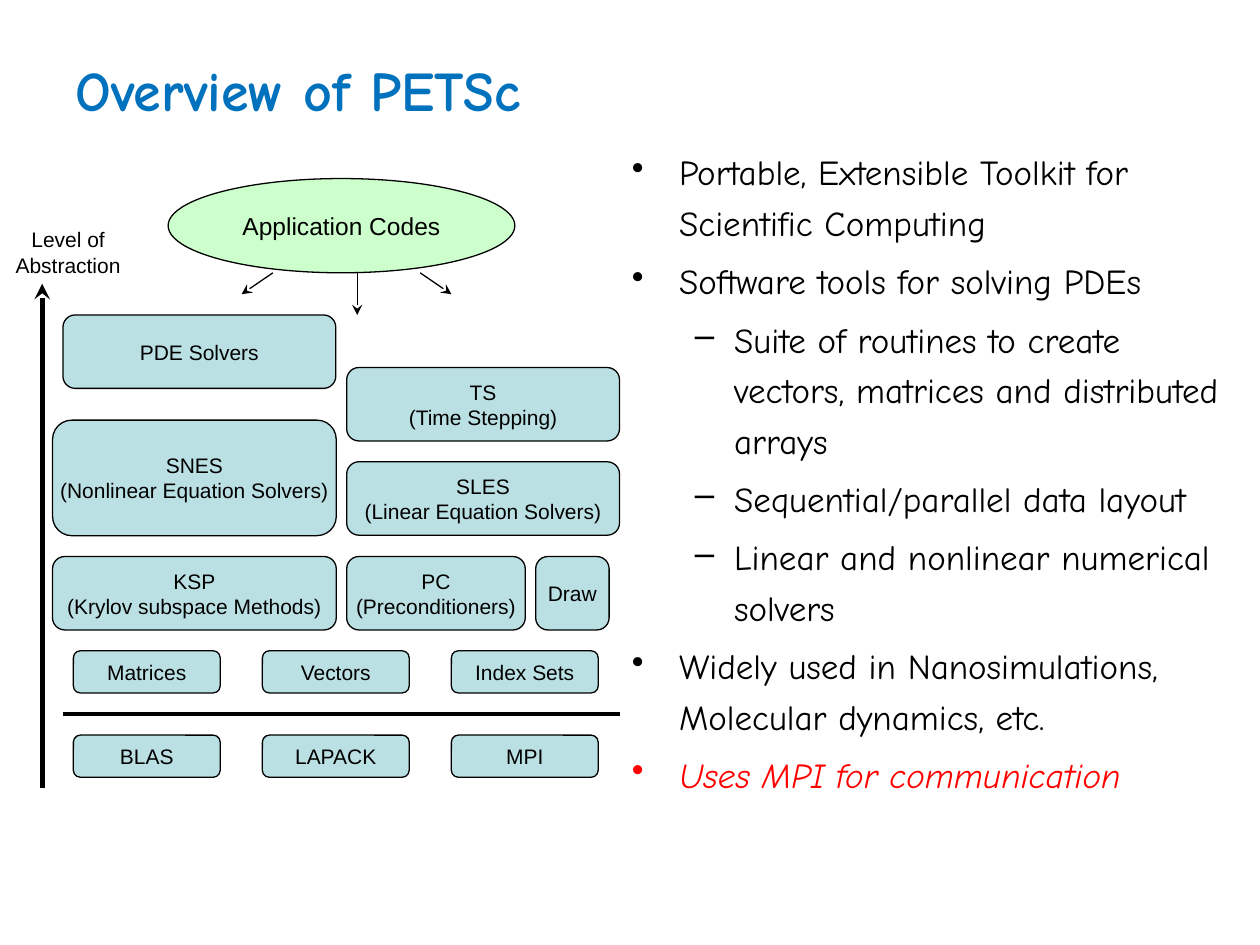
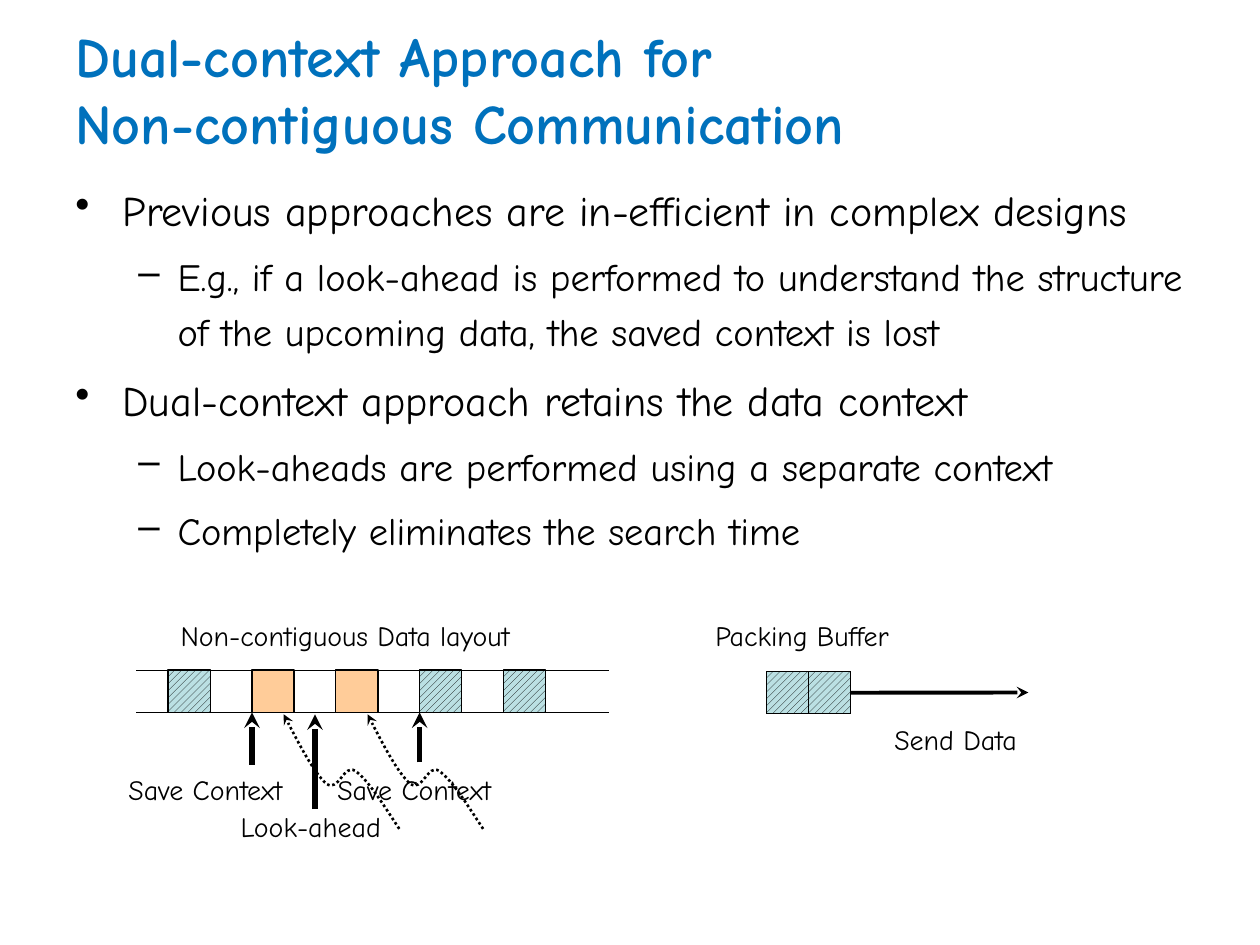
from itertools import product
from lxml.etree import SubElement
from pptx import Presentation
from pptx.dml.color import RGBColor
from pptx.enum.dml import MSO_LINE, MSO_PATTERN
from pptx.enum.shapes import MSO_CONNECTOR, MSO_SHAPE
from pptx.enum.text import MSO_ANCHOR, PP_ALIGN
from pptx.oxml.ns import qn
from pptx.util import Cm, Pt

COLORS = {"title": "0071BC", "text": "000000", "accent": "FF0000", "box": "BBE0E3",
          "app": "CCFFCC", "ahead": "FFCC99"}
RGB = {name: RGBColor.from_string(value) for name, value in COLORS.items()}
HAND, PLAIN = "Comic Neue", "Arial"


def add_box(s, kind, x, y, w, h, fill=None, lines=(), size=12, font=PLAIN):
    """Add a text box (kind None) or an outlined shape, one paragraph per line."""
    if kind is None:
        sp = s.shapes.add_textbox(Cm(x), Cm(y), Cm(w), Cm(h))
    else:
        sp = s.shapes.add_shape(kind, Cm(x), Cm(y), Cm(w), Cm(h))
        sp.shadow.inherit = False
        sp.line.color.rgb = RGB["text"]
        sp.line.width = Pt(0.75)
        if fill:
            sp.fill.solid()
            sp.fill.fore_color.rgb = RGB[fill]
        else:
            sp.fill.background()
    tf = sp.text_frame
    tf.word_wrap = False
    for i, line in enumerate(lines):
        p = tf.add_paragraph() if i else tf.paragraphs[0]
        if kind is not None:
            p.alignment = PP_ALIGN.CENTER
        r = p.add_run()
        r.text = line
        r.font.name, r.font.size = font, Pt(size)
        r.font.color.rgb = RGB["text"]
    return sp


def add_line(s, x1, y1, x2, y2, width=0.75, arrow=True):
    c = s.shapes.add_connector(MSO_CONNECTOR.STRAIGHT, Cm(x1), Cm(y1), Cm(x2), Cm(y2))
    c.line.color.rgb = RGB["text"]
    c.line.width = Pt(width)
    if arrow:
        SubElement(c.line._get_or_add_ln(), qn("a:tailEnd"), type="stealth")
    SubElement(c.element.spPr, qn("a:effectLst"))
    return c


prs = Presentation()
prs.slide_width, prs.slide_height = Cm(25.4), Cm(19.05)

# Titles and bullets: (level, size, colour, text)
pages = [
    (["Overview of PETSc"], (12.49, 2.75, 12.7, 14.27), [
        (0, 20, "text", "Portable, Extensible Toolkit for Scientific Computing"),
        (0, 20, "text", "Software tools for solving PDEs"),
        (1, 20, "text", "Suite of routines to create vectors, matrices and distributed arrays"),
        (1, 20, "text", "Sequential/parallel data layout"),
        (1, 20, "text", "Linear and nonlinear numerical solvers"),
        (0, 20, "text", "Widely used in Nanosimulations, Molecular dynamics, etc."),
        (0, 20, "accent", "Uses MPI for communication")]),
    (["Dual-context Approach for", "Non-contiguous Communication"], (1.27, 3.39, 23.5, 8.46), [
        (0, 24, "text", "Previous approaches are in-efficient in complex designs"),
        (1, 22, "text", "E.g., if a look-ahead is performed to understand the structure "
                        "of the upcoming data, the saved context is lost"),
        (0, 24, "text", "Dual-context approach retains the data context"),
        (1, 22, "text", "Look-aheads are performed using a separate context"),
        (1, 22, "text", "Completely eliminates the search time")]),
]
bullet_styles = [("•", 0.95, -0.95), ("–", 2.06, -0.79)]

for title, body, bullets in pages:
    s = prs.slides.add_slide(prs.slide_layouts[6])
    tf = add_box(s, None, 1.27, 0.42, 23.7, 2.75).text_frame
    tf.vertical_anchor = MSO_ANCHOR.MIDDLE
    p = tf.paragraphs[0]
    for i, line in enumerate(title):
        if i:
            p.add_line_break()
        r = p.add_run()
        r.text = line
        r.font.name, r.font.size, r.font.bold = HAND, Pt(32), True
        r.font.color.rgb = RGB["title"]

    tf = add_box(s, None, *body).text_frame
    tf.word_wrap = True
    for i, (level, size, color, text) in enumerate(bullets):
        p = tf.add_paragraph() if i else tf.paragraphs[0]
        char, left, hang = bullet_styles[level]
        p.level = level
        p.line_spacing = 1.2
        p.space_before = Pt(round(size * 0.23, 1) if i else 0)
        pPr = p._p.get_or_add_pPr()
        pPr.set("marL", str(Cm(left)))
        pPr.set("indent", str(Cm(hang)))
        SubElement(pPr, qn("a:buChar"), char=char)
        r = p.add_run()
        r.text = text
        r.font.name, r.font.size = HAND, Pt(size)
        r.font.color.rgb = RGB[color]
        if color == "accent":
            r.font.italic = True

overview, dual = prs.slides

# Overview: abstraction axis and library divider
s = overview
add_line(s, 0.85, 15.88, 0.85, 5.72, 3)
add_line(s, 1.27, 14.39, 12.49, 14.39, 2.25, arrow=False)
tf = add_box(s, None, 0.21, 4.45, 2.33, 1.27, lines=["Level of Abstraction"]).text_frame
tf.word_wrap = True
tf.margin_left = tf.margin_right = 0
tf.paragraphs[0].alignment = PP_ALIGN.CENTER

# Overview: solver layers
layers = [
    (1.27, 6.35, 5.5, 1.48, ["PDE Solvers"]),
    (6.99, 7.41, 5.5, 1.48, ["TS", "(Time Stepping)"]),
    (1.06, 8.47, 5.72, 2.33, ["SNES", "(Nonlinear Equation Solvers)"]),
    (6.99, 9.31, 5.5, 1.48, ["SLES", "(Linear Equation Solvers)"]),
    (1.06, 11.22, 5.72, 1.48, ["KSP", "(Krylov subspace Methods)"]),
    (6.99, 11.22, 3.6, 1.48, ["PC", "(Preconditioners)"]),
    (10.8, 11.22, 1.48, 1.48, ["Draw"]),
]
# Overview: data objects above the divider, base libraries below
names = ["Matrices", "Vectors", "Index Sets", "BLAS", "LAPACK", "MPI"]
for name, (y, col) in zip(names, product((13.12, 14.82), range(3))):
    layers.append((1.48 + 3.81 * col, y, 2.96, 0.85, [name]))
for x, y, w, h, lines in layers:
    add_box(s, MSO_SHAPE.ROUNDED_RECTANGLE, x, y, w, h, "box", lines)

# Overview: application codes and their arrows
add_box(s, MSO_SHAPE.OVAL, 3.39, 3.6, 6.99, 1.9, "app", ["Application Codes"], 14)
for x1, x2, y2 in [(5.5, 4.87, 5.93), (7.2, 7.2, 6.35), (8.47, 9.1, 5.93)]:
    add_line(s, x1, 5.5, x2, y2)

# Dual context: data strip and packing buffer
s = dual
cell, top, bottom, buf_x, buf_y = 0.85, 13.51, 14.36, 15.45, 13.54
for y in (top, bottom):
    add_line(s, 2.75, y, 12.28, y, arrow=False)
cells = [(3.39 + 1.69 * i, top, fill)
         for i, fill in enumerate(["box", "ahead", "ahead", "box", "box"])]
cells += [(buf_x + cell * i, buf_y, "box") for i in range(2)]
for x, y, fill in cells:
    sp = add_box(s, MSO_SHAPE.RECTANGLE, x, y, cell, cell, fill)
    if fill == "box":
        sp.fill.patterned()
        sp.fill.pattern = MSO_PATTERN.WIDE_UPWARD_DIAGONAL
        sp.fill.fore_color.rgb = RGB["text"]
        sp.fill.back_color.rgb = RGB["box"]
buffer = add_box(s, MSO_SHAPE.RECTANGLE, buf_x, buf_y, 2 * cell, cell)
send = add_line(s, 17.15, 13.96, 20.73, 13.96, 2.25)
send.begin_connect(buffer, 3)

# Dual context: pointers into the strip
for x, y1, y2 in [(5.08, 15.42, bottom), (8.46, 15.37, bottom), (6.35, 16.31, 14.4)]:
    add_line(s, x, y1, x, y2, 3)

# Dual context: labels
for text, x, y, w in [
    ("Non-contiguous Data layout", 3.39, 12.34, 7.75),
    ("Packing Buffer", 14.17, 12.34, 4.42),
    ("Save Context", 2.34, 15.44, 4.04),
    ("Save Context", 6.55, 15.44, 4.04),
    ("Look-ahead", 4.6, 16.2, 3.5),
    ("Send Data", 17.78, 14.45, 3.25),
]:
    add_box(s, None, x, y, w, 0.94, lines=[text], size=16, font=HAND)

# Dual context: dotted curves, a start point and three Bézier segments
curve = [(8.05, 16.71), (7.72, 16.21), (7.42, 15.72), (7.16, 15.54), (6.93, 15.39),
         (6.83, 15.98), (6.58, 15.8), (6.35, 15.6), (6.02, 14.99), (5.72, 14.4)]
for shift in (0, 2.13 - 0.44):
    pts = [(Cm(x + shift), Cm(y)) for x, y in curve]
    fb = s.shapes.build_freeform(*pts[0])
    fb.add_line_segments(pts[1:], close=False)
    sp = fb.convert_to_shape()
    sp.shadow.inherit = False
    sp.fill.background()
    sp.line.color.rgb = RGB["text"]
    sp.line.width = Pt(1.5)
    sp.line.dash_style = MSO_LINE.ROUND_DOT
    SubElement(sp.line._get_or_add_ln(), qn("a:tailEnd"), type="stealth")
    outline = sp.element.find(".//" + qn("a:path"))
    segments = outline.findall(qn("a:lnTo"))
    for i in range(0, len(segments), 3):
        bezier = SubElement(outline, qn("a:cubicBezTo"))
        for seg in segments[i:i + 3]:
            bezier.append(seg[0])
            outline.remove(seg)

prs.save("out.pptx")
